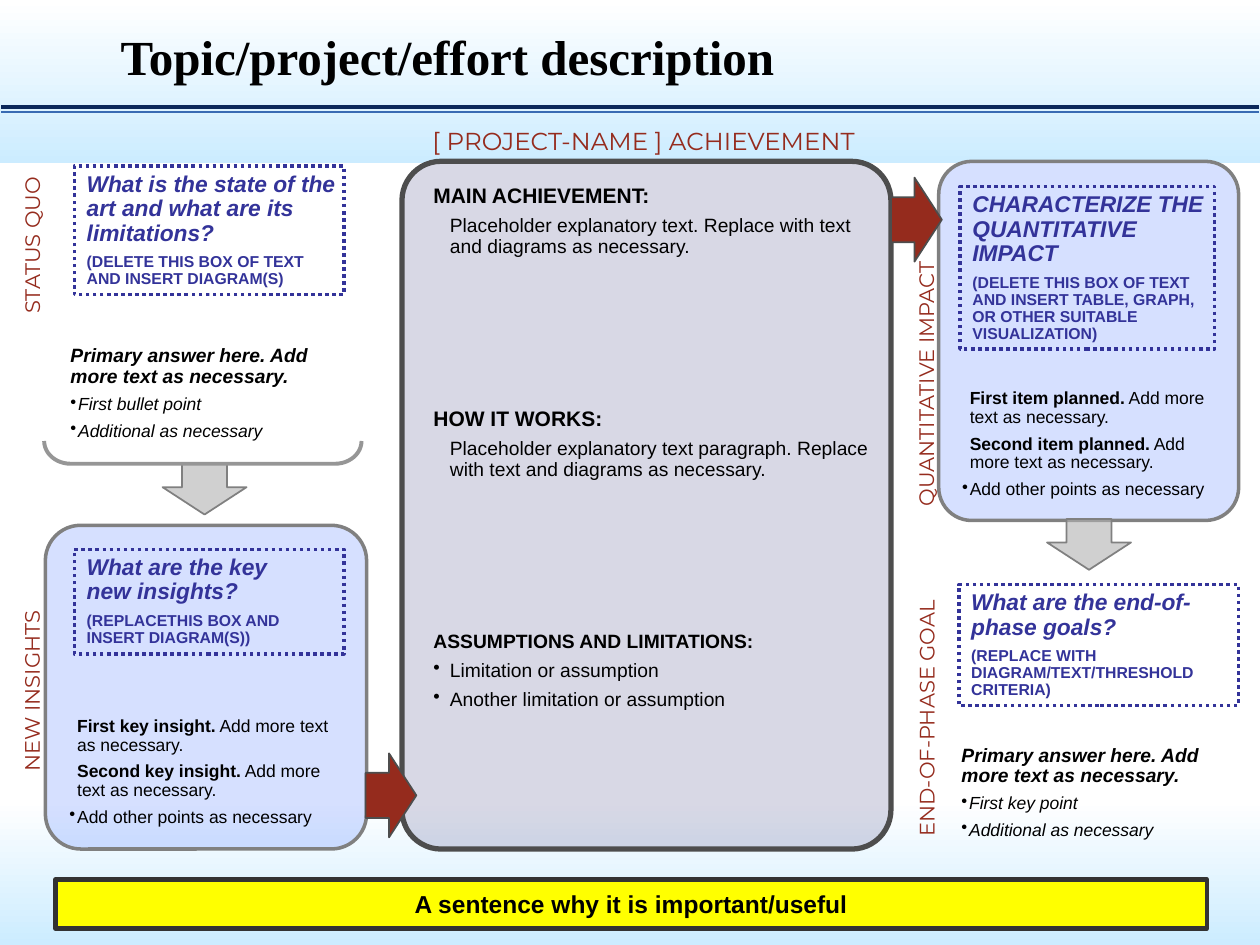
import lxml.etree
import pptx
import pptx.dml.color
import pptx.enum.dml
import pptx.enum.shapes
import pptx.enum.text
import pptx.oxml.ns
import pptx.util

Pt = pptx.util.Pt
SHAPE = pptx.enum.shapes.MSO_SHAPE
ALIGN = pptx.enum.text.PP_ALIGN
ANCHOR = pptx.enum.text.MSO_ANCHOR
RED, INDIGO, GRAY, DARK = "952B1D", "333399", "808080", "4D4D4D"
BULLET_INDENT = 4.4
DETAIL_INDENT = 9.4
SECTION_GAP = 86


def assign(target, values):
    """Set every named value on the target."""
    for name, value in values.items():
        setattr(target, name, value)


def add_xml(parent, tag, **attributes):
    """Append a DrawingML element to the parent."""
    return lxml.etree.SubElement(parent, pptx.oxml.ns.qn(tag), attributes)


def paint(fill, color, opacity=100):
    """Give a fill a solid colour with an opacity in percent."""
    fill.solid()
    fill.fore_color.rgb = pptx.dml.color.RGBColor.from_string(color)
    if opacity < 100:
        srgb = fill._xPr.find(".//" + pptx.oxml.ns.qn("a:srgbClr"))
        add_xml(srgb, "a:alpha", val=str(opacity * 1000))


def para(*runs, size=10, before=4.4, spacing=0.9, align=ALIGN.LEFT, indent=0, bullet=False):
    """Describe a paragraph; each run is a text with its font values."""
    layout = {"space_before": Pt(before), "line_spacing": spacing, "alignment": align}
    return runs, size, layout, indent, bullet


def write(shape, paragraphs, color="000000", font="Arial", anchor=ANCHOR.TOP, insets=(0, 0, 0, 0)):
    """Fill a shape with paragraphs."""
    frame = shape.text_frame
    sides = ("margin_left", "margin_top", "margin_right", "margin_bottom")
    assign(frame, {"word_wrap": True, "vertical_anchor": anchor,
                   **dict(zip(sides, map(Pt, insets)))})
    for index, (runs, size, layout, indent, bullet) in enumerate(paragraphs):
        paragraph = frame.add_paragraph() if index else frame.paragraphs[0]
        assign(paragraph, layout)
        if not index:
            paragraph.space_before = Pt(0)
        properties = paragraph._p.get_or_add_pPr()
        properties.set("marL", str(Pt(indent)))
        properties.set("indent", str(Pt(-indent if bullet else 0)))
        if bullet:
            add_xml(properties, "a:buChar", char="•")
        for text, style in runs:
            for number, line in enumerate(text.split("\n")):
                if number:
                    paragraph.add_line_break()
                    add_xml(paragraph._p[-1], "a:rPr", sz=str(size * 100))
                run = paragraph.add_run()
                run.text = line
                assign(run.font, {"name": font, "size": Pt(size), **style})
                paint(run.font.fill, color)


def add_block(slide, kind, box, fill=None, opacity=100, line=None, width=1, rotation=0, adjust=()):
    """Add a preset shape with its fill and outline."""
    block = slide.shapes.add_shape(kind, *map(Pt, box))
    block.shadow.inherit = False
    block.rotation = rotation
    for index, value in enumerate(adjust):
        block.adjustments[index] = value
    if fill:
        paint(block.fill, fill, opacity)
    else:
        block.fill.background()
    if line:
        paint(block.line.fill, line)
        block.line.width = Pt(width)
    else:
        block.line.fill.background()
    return block


def add_band(slide, top, height):
    """Add a full-width band fading from white to pale blue."""
    band = add_block(slide, SHAPE.RECTANGLE, (0, top, 720, height))
    band.fill.gradient()
    band.fill.gradient_angle = 270
    for stop, color in zip(band.fill.gradient_stops, ("FFFFFF", "CCECFF")):
        stop.color.rgb = pptx.dml.color.RGBColor.from_string(color)


def add_rule(slide, y, color, width):
    """Add a horizontal rule below the title."""
    rule = slide.shapes.add_connector(
        pptx.enum.shapes.MSO_CONNECTOR.STRAIGHT, Pt(0.7), Pt(y), Pt(719.3), Pt(y))
    paint(rule.line.fill, color)
    rule.line.width = Pt(width)
    add_xml(rule._element.spPr, "a:effectLst")


def add_text(slide, box, paragraphs, rotation=0, **style):
    """Add a text box."""
    text = slide.shapes.add_textbox(*map(Pt, box))
    text.rotation = rotation
    write(text, paragraphs, **style)


def add_arrow(slide, left, top, **style):
    """Add a block arrow of the common size."""
    add_block(slide, SHAPE.DOWN_ARROW, (left, top, 48, 29), adjust=(0.536, 0.538), **style)


def add_panel(slide, box, corner, items=()):
    """Add a rounded blue panel with bold-led items and a closing bullet."""
    panel = add_block(slide, SHAPE.ROUNDED_RECTANGLE, box, "3366FF", 20, GRAY, 2, adjust=(corner,))
    paragraphs = [para((lead, {"bold": True}), (" Add more text as necessary.", {}),
                       indent=BULLET_INDENT) for lead in items]
    paragraphs.append(para(("Add other points as necessary", {}),
                           indent=BULLET_INDENT, bullet=True))
    write(panel, paragraphs, anchor=ANCHOR.BOTTOM, insets=(7.9, 5.8, 5, 6.5))


def add_prompt(slide, box, question, hint):
    """Add a dotted prompt box with a question and a hint."""
    prompt = add_block(slide, SHAPE.RECTANGLE, box, line=INDIGO, width=2)
    prompt.line.dash_style = pptx.enum.dml.MSO_LINE.ROUND_DOT
    write(prompt, [para((question, {"bold": True, "italic": True}), size=13),
                   para((hint, {"bold": True}), size=9, before=4.5)],
          color=INDIGO, insets=(7.2, 3.6, 3.6, 3.6))


def add_answer(slide, box, points):
    """Add a bold italic answer with bullet points."""
    answer = para(("Primary answer here. Add more text as necessary.",
                   {"bold": True, "italic": True}), size=11)
    bullets = [para((point, {"italic": True}), indent=BULLET_INDENT, bullet=True)
               for point in points]
    add_text(slide, box, [answer, *bullets], anchor=ANCHOR.BOTTOM)


def add_achievement(slide):
    """Add the central panel and its three sections."""
    add_block(slide, SHAPE.ROUNDED_RECTANGLE, (229.7, 92.2, 279.4, 393), "666699", 25,
              DARK, 3, adjust=(0.08,))
    sections = (
        ("MAIN ACHIEVEMENT:", 12, False,
         ["Placeholder explanatory text. Replace with text and diagrams as necessary."]),
        ("HOW IT WORKS:", 12, False,
         ["Placeholder explanatory text paragraph. Replace with text and diagrams as necessary."]),
        ("ASSUMPTIONS AND LIMITATIONS:", 11, True,
         ["Limitation or assumption", "Another limitation or assumption"]))
    paragraphs = []
    for heading, size, bullet, details in sections:
        paragraphs.append(para((heading, {"bold": True}), size=size, before=SECTION_GAP))
        paragraphs += [para((detail, {}), size=11, before=4.8, indent=DETAIL_INDENT, bullet=bullet)
                       for detail in details]
    add_text(slide, (247.7, 105.8, 252, 370.8), paragraphs)


def main():
    """Build the slide and save it."""
    deck = pptx.Presentation()
    assign(deck, {"slide_width": Pt(720), "slide_height": Pt(540)})
    slide = deck.slides.add_slide(deck.slide_layouts[6])

    add_band(slide, 0, 93)
    add_band(slide, 457, 83)
    add_rule(slide, 61, "0C285B", 2.25)
    add_rule(slide, 64, "396BB3", 0.75)
    add_text(slide, (69, 14.4, 651, 41),
             [para(("Topic/project/effort description", {"bold": True}), size=28, spacing=0.85)],
             font="Times New Roman", anchor=ANCHOR.MIDDLE)

    add_panel(slide, (536.4, 92.2, 171.4, 205.2), 0.11,
              ("First item planned.", "Second item planned."))
    add_achievement(slide)
    add_panel(slide, (25.9, 300.2, 183.6, 185), 0.11,
              ("First key insight.", "Second key insight."))

    benefit = add_block(slide, SHAPE.RECTANGLE, (31.7, 502.6, 658, 28), "FFFF00",
                        line="333333", width=2.5)
    write(benefit, [para(("A sentence why it is important/useful", {"bold": True}), size=14,
                         spacing=0.85, align=ALIGN.CENTER)],
          anchor=ANCHOR.BOTTOM, insets=(21.6, 7.9, 21.6, 5.8))

    for left, top in ((199.4, 440), (499.7, 111)):
        add_arrow(slide, left, top, fill=RED, line=DARK, rotation=270)
    for left, top in ((92.9, 265), (598.3, 296.6)):
        add_arrow(slide, left, top, fill="B2B2B2", opacity=60, line=GRAY)
    add_block(slide, SHAPE.RIGHT_BRACKET, (109.4, 167.8, 13, 181.4), line="969696", width=2.25,
              rotation=90, adjust=(1.17,))

    add_answer(slide, (40.3, 198, 161.3, 54), ("First bullet point", "Additional as necessary"))
    add_answer(slide, (549.4, 426.2, 150.5, 54), ("First key point", "Additional as necessary"))

    for box, question, hint in (
            ((42.5, 95, 154.1, 73.4), "What is the state of the art and what are its limitations?",
             "(DELETE THIS BOX OF TEXT AND INSERT DIAGRAM(S)"),
            ((42.5, 313.9, 154.1, 59.8), "What are the key\nnew insights?",
             "(REPLACETHIS BOX AND INSERT DIAGRAM(S))"),
            ((548.6, 106.6, 145.4, 92.9), "CHARACTERIZE THE QUANTITATIVE IMPACT",
             "(DELETE THIS BOX OF TEXT AND INSERT TABLE, GRAPH, OR OTHER SUITABLE VISUALIZATION)"),
            ((547.9, 334.1, 159.8, 69.1), "What are the end-of-phase goals?",
             "(REPLACE WITH DIAGRAM/TEXT/THRESHOLD CRITERIA)")):
        add_prompt(slide, box, question, hint)

    for box, label, align in (
            ((441.4, 232.6, 177.8, 11.5), "QUANTITATIVE IMPACT", ALIGN.RIGHT),
            ((433.4, 375.1, 194.4, 11.5), "END-OF-PHASE GOAL", ALIGN.LEFT),
            ((-25.2, 128.9, 89.3, 11.5), "STATUS QUO", ALIGN.LEFT),
            ((-45.4, 370.1, 129.6, 11.5), "NEW INSIGHTS", ALIGN.LEFT)):
        add_text(slide, box, [para((label, {}), size=12, spacing=0.8, align=align)],
                 rotation=270, color=RED, font="Montserrat")
    add_text(slide, (204, 72, 327.6, 16.6),
             [para(("[ PROJECT-NAME ] ACHIEVEMENT", {}), size=14, spacing=1.0,
                   align=ALIGN.CENTER)], color=RED, font="Montserrat")

    deck.save("out.pptx")


if __name__ == "__main__":
    main()
